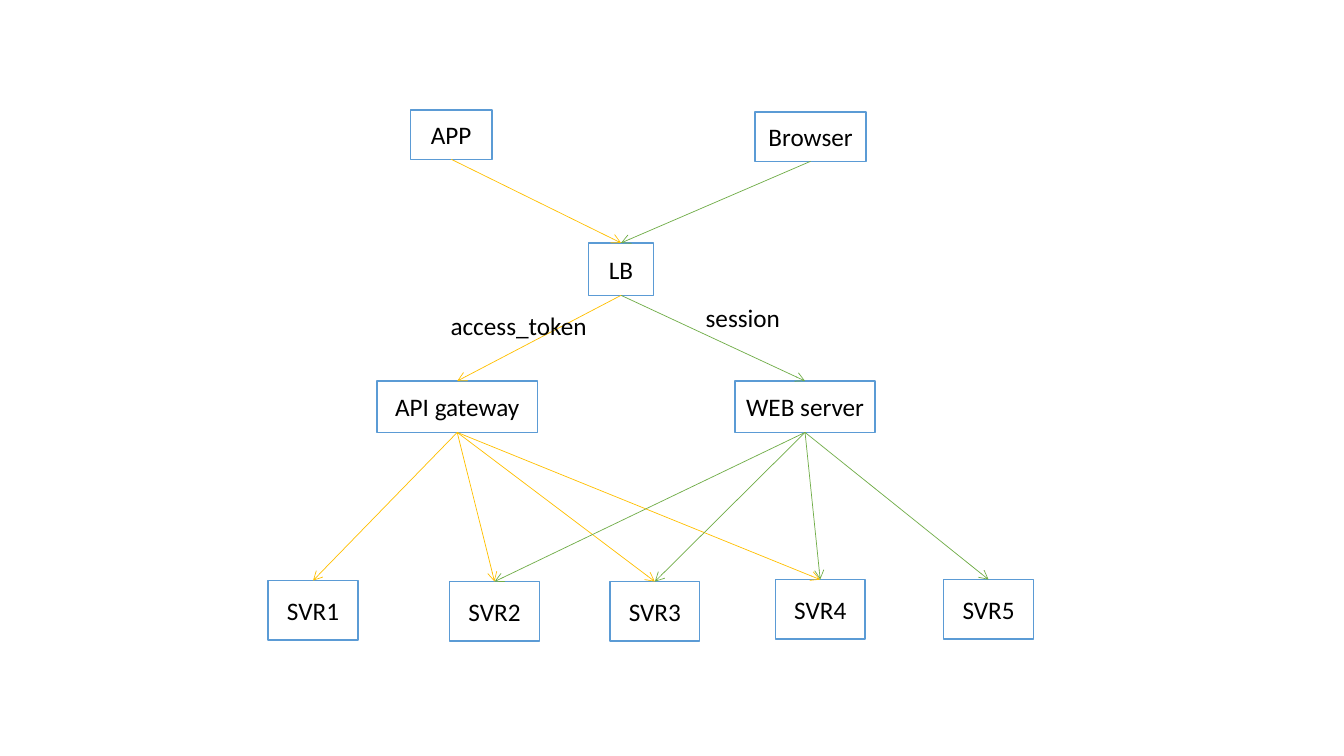
from pptx import Presentation
from pptx.dml.color import RGBColor
from pptx.enum.shapes import MSO_CONNECTOR as CONN, MSO_SHAPE as SHAPE
from pptx.enum.text import MSO_ANCHOR as ANCHOR, PP_ALIGN as ALIGN
from pptx.oxml.ns import qn
from pptx.util import Inches, Pt
from lxml.etree import SubElement

COLORS = {
    "text": "000000",
    "fill": "FFFFFF",
    "border": "5B9BD5",
    "token": "FFC000",
    "session": "70AD47",
}
TOP, BOTTOM = 0, 2  # connection sites of a rectangle

# name: left, top, width, height
NODES = {
    "API gateway": (3.74, 3.78, 1.59, 0.51),
    "WEB server": (7.29, 3.78, 1.39, 0.51),
    "LB": (5.84, 2.41, 0.64, 0.52),
    "APP": (4.07, 1.09, 0.81, 0.49),
    "Browser": (7.49, 1.11, 1.1, 0.49),
}
SERVERS = {
    "SVR1": (2.66, 5.76),
    "SVR2": (4.46, 5.77),
    "SVR3": (6.05, 5.77),
    "SVR4": (7.69, 5.75),
    "SVR5": (9.36, 5.75),
}
SERVER_SIZE = (0.89, 0.59)

# route: (source, targets) pairs
ROUTES = {
    "token": [
        ("APP", ["LB"]),
        ("LB", ["API gateway"]),
        ("API gateway", ["SVR1", "SVR2", "SVR3", "SVR4"]),
    ],
    "session": [
        ("Browser", ["LB"]),
        ("LB", ["WEB server"]),
        ("WEB server", ["SVR2", "SVR3", "SVR4", "SVR5"]),
    ],
}
LABELS = {
    "session": (6.9, 2.95, 0.95, 0.4),
    "access_token": (4.37, 3.03, 1.57, 0.4),
}


def rgb(name):
    """Return the named colour."""
    return RGBColor.from_string(COLORS[name])


def write(sp, text, size=18, font="Calibri", color="text",
          align=ALIGN.LEFT, anchor=ANCHOR.TOP, wrap=True, inset=0.1):
    """Put formatted text into a shape."""
    tf = sp.text_frame
    tf.word_wrap = wrap
    tf.vertical_anchor = anchor
    tf.margin_left = tf.margin_right = Inches(inset)
    p = tf.paragraphs[0]
    p.alignment = align
    r = p.add_run()
    r.text = text
    r.font.size = Pt(size)
    r.font.name = font
    r.font.color.rgb = rgb(color)


def add_node(s, name, box):
    """Add a bordered box with a centred name."""
    sp = s.shapes.add_shape(SHAPE.RECTANGLE, *map(Inches, box))
    sp.shadow.inherit = False
    sp.fill.solid()
    sp.fill.fore_color.rgb = rgb("fill")
    sp.line.color.rgb = rgb("border")
    sp.line.width = Pt(1)
    write(sp, name, align=ALIGN.CENTER, anchor=ANCHOR.MIDDLE, inset=0.05)
    return sp


def add_arrow(s, source, target, color):
    """Join the bottom of one box to the top of another."""
    start = source.left + source.width // 2, source.top + source.height
    end = target.left + target.width // 2, target.top
    cn = s.shapes.add_connector(CONN.STRAIGHT, *start, *end)
    cn.begin_connect(source, BOTTOM)
    cn.end_connect(target, TOP)
    cn.line.color.rgb = rgb(color)
    cn.line.width = Pt(0.5)
    ln = cn._element.spPr.find(qn("a:ln"))
    SubElement(ln, qn("a:tailEnd"), type="arrow")
    SubElement(cn._element.spPr, qn("a:effectLst"))


def add_label(s, text, box):
    """Add a free-standing label."""
    sp = s.shapes.add_textbox(*map(Inches, box))
    write(sp, text, wrap=False)


def main():
    """Build the slide and save it."""
    prs = Presentation()
    prs.slide_width, prs.slide_height = Inches(13.33), Inches(7.5)
    blank = prs.slide_layouts[6]
    s = prs.slides.add_slide(blank)

    boxes = {name: at + SERVER_SIZE for name, at in SERVERS.items()} | NODES
    nodes = {name: add_node(s, name, box) for name, box in boxes.items()}
    for color, hops in ROUTES.items():
        for source, targets in hops:
            for target in targets:
                add_arrow(s, nodes[source], nodes[target], color)
    for text, box in LABELS.items():
        add_label(s, text, box)

    prs.save("out.pptx")


main()
